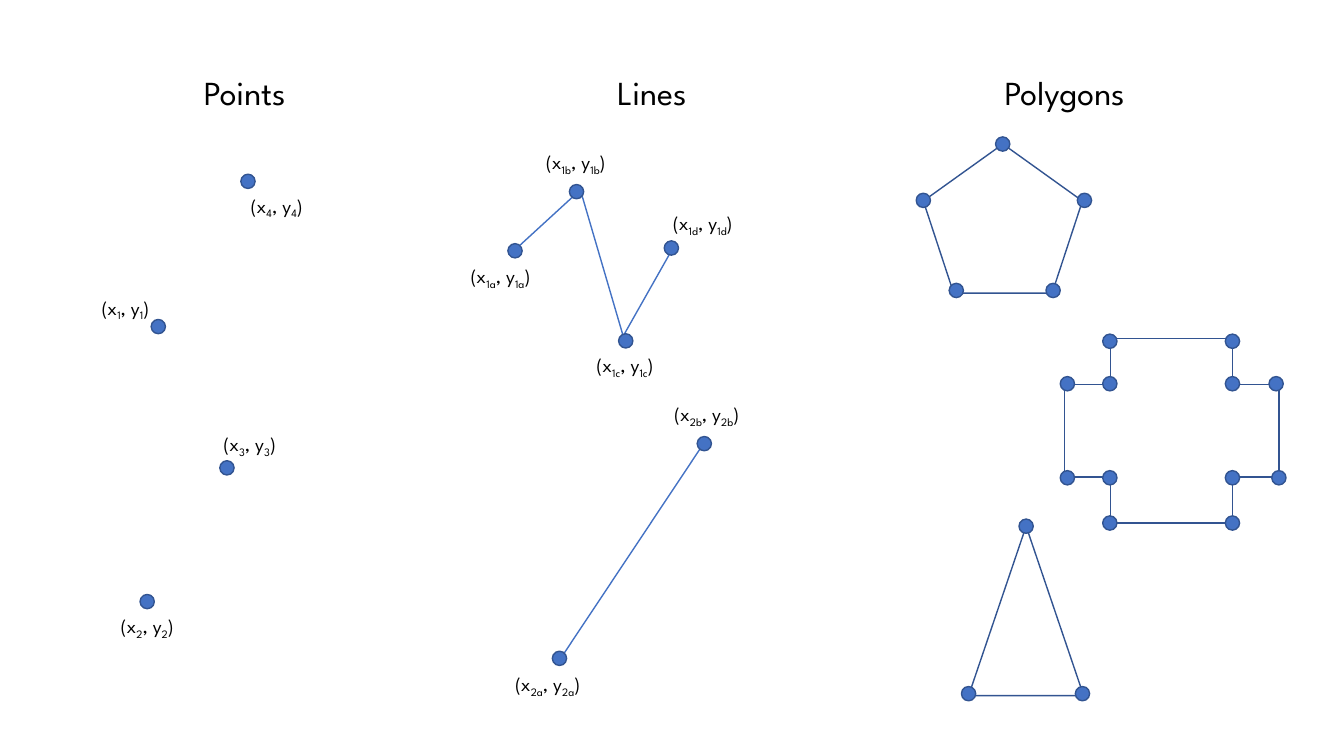
from lxml.etree import SubElement
from pptx import Presentation
from pptx.dml.color import RGBColor
from pptx.enum.shapes import MSO_CONNECTOR, MSO_SHAPE
from pptx.enum.text import MSO_AUTO_SIZE, PP_ALIGN
from pptx.oxml.ns import qn
from pptx.util import Cm, Pt

COLORS = {"text": "000000", "dot": "4472C4", "outline": "325491"}
FONT = "League Spartan"
DOT_SIZE = 0.36
LABEL_HEIGHT = 0.86

# Top left corner of each column, in cm
POINTS_BOX = (2, 1.7)
LINES_BOX = (11, 1.7)
POLYGONS_BOX = (22.5, 1.7)

# Places below are in cm from the corner of the column.
# Subscript: (dot centre, label corner)
POINTS = {
    "1": ((1.99, 6.53), (0.31, 5.62)),
    "2": ((1.71, 13.46), (0.79, 13.64)),
    "3": ((3.72, 10.09), (3.38, 9.07)),
    "4": ((4.25, 2.87), (4.07, 3.05)),
}
VERTICES = {
    "1a": ((1.98, 4.62), (0.61, 4.83)),
    "1b": ((3.53, 3.13), (2.51, 1.96)),
    "1c": ((4.77, 6.89), (3.78, 7.06)),
    "1d": ((5.92, 4.55), (5.71, 3.48)),
    "2a": ((3.1, 14.89), (1.73, 15.11)),
    "2b": ((6.75, 9.48), (5.74, 8.31)),
}
SEGMENTS = [
    ((1.95, 4.62), (3.63, 3.08)),
    ((3.63, 3.1), (4.77, 6.99)),
    ((4.67, 6.83), (5.92, 4.62)),
    ((6.75, 9.45), (3.05, 15.01)),
]

# The cross has dots on a grid of two inner columns and two outer ones
CROSS_ROWS = (6.9, 7.97, 10.34, 11.48)
CROSS_DOTS = [(x, y) for x in (5.47, 8.56) for y in CROSS_ROWS]
CROSS_DOTS += [(4.4, y) for y in CROSS_ROWS[1:3]]
CROSS_DOTS += zip((9.66, 9.73), CROSS_ROWS[1:3])

# Preset, (left, top, width, height), dot centres
POLYGONS = [
    (MSO_SHAPE.REGULAR_PENTAGON, (0.77, 1.93, 4.01, 3.76),
     [(2.77, 1.93), (0.77, 3.35), (1.6, 5.62), (4.04, 5.62), (4.83, 3.35)]),
    (MSO_SHAPE.ISOSCELES_TRIANGLE, (1.91, 11.56, 2.9, 4.27),
     [(3.36, 11.56), (1.91, 15.78), (4.78, 15.78)]),
    (MSO_SHAPE.CROSS, (4.32, 6.83, 5.41, 4.65), CROSS_DOTS),
]


def color(name):
    return RGBColor.from_string(COLORS[name])


def place(box, point):
    return Cm(box[0] + point[0]), Cm(box[1] + point[1])


def add_text(slide, box, corner, size, runs, points, alignment):
    """Add one line of text; runs are (text, is_subscript) pairs."""
    shape = slide.shapes.add_textbox(*place(box, corner), *map(Cm, size))
    frame = shape.text_frame
    frame.word_wrap = False
    frame.auto_size = MSO_AUTO_SIZE.SHAPE_TO_FIT_TEXT
    paragraph = frame.paragraphs[0]
    paragraph.alignment = alignment
    for text, is_subscript in runs:
        run = paragraph.add_run()
        run.text = text
        for name, value in {"name": FONT, "size": Pt(points)}.items():
            setattr(run.font, name, value)
        run.font.color.rgb = color("text")
        if is_subscript:
            run._r.get_or_add_rPr().set("baseline", "-25000")


def add_heading(slide, box, text, center, width):
    add_text(slide, box, (center - width / 2, 0), (width, 1.27),
             [(text, False)], 24, PP_ALIGN.CENTER)


def add_label(slide, box, corner, subscript, width):
    runs = [("(x", False), (subscript, True), (", y", False),
            (subscript, True), (")", False)]
    add_text(slide, box, corner, (width, LABEL_HEIGHT), runs, 14,
             PP_ALIGN.LEFT)


def add_outlined(slide, preset, box, corner, size, fill=None):
    shape = slide.shapes.add_shape(preset, *place(box, corner), *map(Cm, size))
    shape.shadow.inherit = False
    if fill:
        shape.fill.solid()
        shape.fill.fore_color.rgb = color(fill)
    else:
        shape.fill.background()
    shape.line.color.rgb = color("outline")
    shape.line.width = Pt(1)


def add_dot(slide, box, center):
    corner = [value - DOT_SIZE / 2 for value in center]
    add_outlined(slide, MSO_SHAPE.OVAL, box, corner, (DOT_SIZE, DOT_SIZE), "dot")


def add_segment(slide, box, start, end):
    connector = slide.shapes.add_connector(
        MSO_CONNECTOR.STRAIGHT, *place(box, start), *place(box, end))
    connector.line.color.rgb = color("dot")
    connector.line.width = Pt(1)
    SubElement(connector._element.spPr, qn("a:effectLst"))


def add_labelled_dots(slide, box, dots, label_width):
    for subscript, (center, corner) in dots.items():
        add_dot(slide, box, center)
        add_label(slide, box, corner, subscript, label_width)


def add_points_column(slide, box):
    add_heading(slide, box, "Points", 4.17, 2.9)
    add_labelled_dots(slide, box, POINTS, 2.03)


def add_lines_column(slide, box):
    add_heading(slide, box, "Lines", 5.43, 2.49)
    for start, end in SEGMENTS:
        add_segment(slide, box, start, end)
    add_labelled_dots(slide, box, VERTICES, 2.49)


def add_polygons_column(slide, box):
    add_heading(slide, box, "Polygons", 4.33, 4.19)
    for preset, (left, top, width, height), centers in POLYGONS:
        add_outlined(slide, preset, box, (left, top), (width, height))
        for center in centers:
            add_dot(slide, box, center)


def main():
    presentation = Presentation()
    presentation.slide_width = Cm(33.87)
    presentation.slide_height = Cm(19.05)
    blank_layout = presentation.slide_layouts[6]
    slide = presentation.slides.add_slide(blank_layout)
    add_points_column(slide, POINTS_BOX)
    add_lines_column(slide, LINES_BOX)
    add_polygons_column(slide, POLYGONS_BOX)
    presentation.save("out.pptx")


if __name__ == "__main__":
    main()
